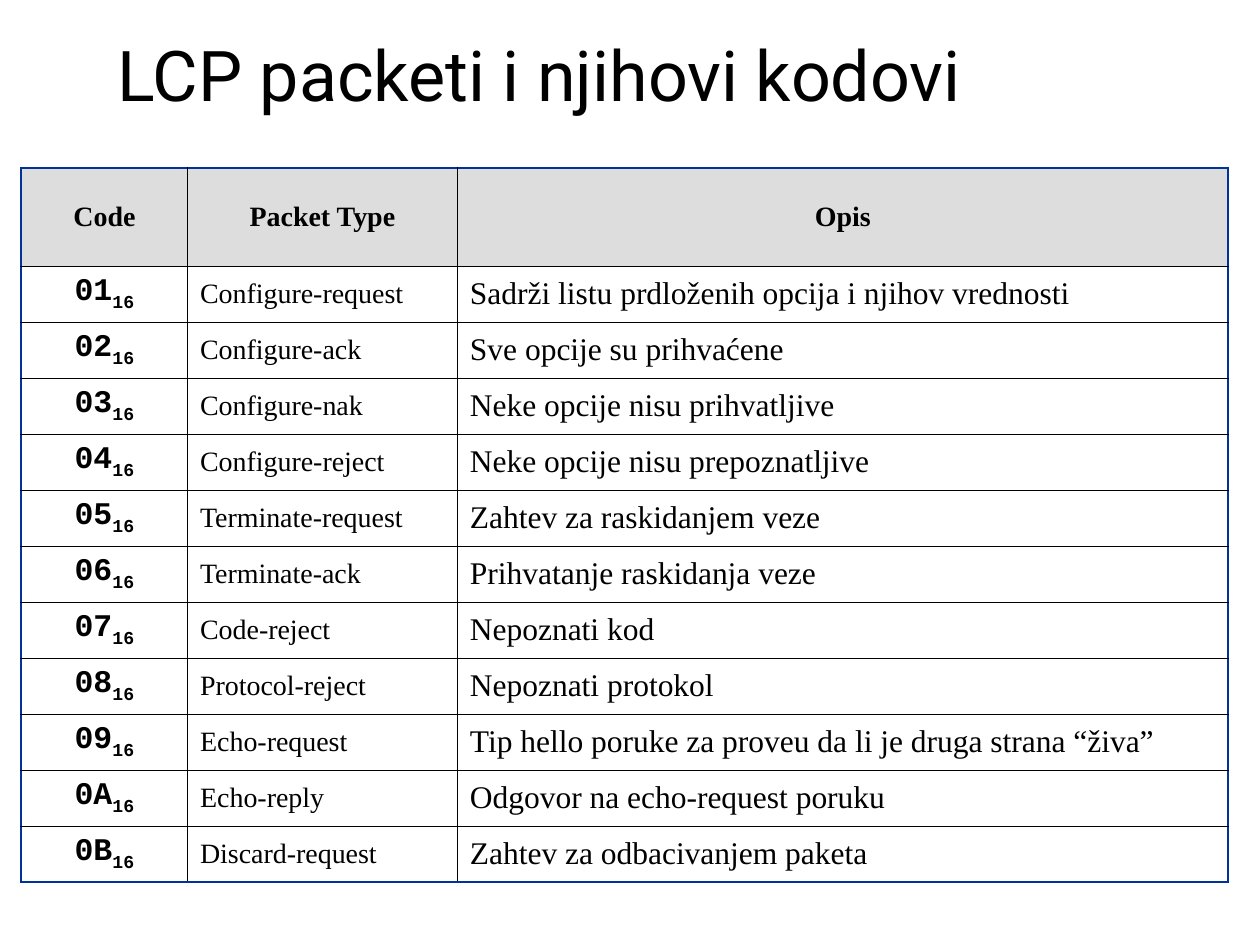
from dataclasses import dataclass

from lxml.etree import SubElement
from pptx import Presentation
from pptx.dml.color import RGBColor
from pptx.enum.text import MSO_ANCHOR as Anchor, PP_ALIGN as Align
from pptx.oxml.ns import qn
from pptx.util import Cm, Pt


@dataclass(frozen=True)
class Theme:
    ink: str = "000000"
    frame: str = "003399"
    header_fill: str = "DDDDDD"
    body_fill: str = "FFFFFF"
    title_font: str = "Roboto"
    text_font: str = "Times New Roman"
    code_font: str = "Courier New"
    title_size: int = 40
    large_size: int = 18
    small_size: int = 16
    frame_width: float = 1.47
    grid_width: float = 0.45


theme = Theme()


def add_run(paragraph, text, font_name, size, bold=False):
    run = paragraph.add_run()
    run.text = text
    run.font.name = font_name
    run.font.size = Pt(size)
    run.font.bold = bold
    run.font.color.rgb = RGBColor.from_string(theme.ink)
    return run


def add_border(cell, side, outer):
    color, width = (theme.frame, theme.frame_width) if outer else (theme.ink, theme.grid_width)
    properties = cell._tc.get_or_add_tcPr()
    line = SubElement(properties, qn(f"a:ln{side}"), w=str(int(Pt(width))))
    fill = SubElement(line, qn("a:solidFill"))
    SubElement(fill, qn("a:srgbClr"), val=color)


headings = ["Code", "Packet Type", "Opis"]
packets = [
    ("01", "Configure-request", "Sadrži listu prdloženih opcija i njihov vrednosti"),
    ("02", "Configure-ack", "Sve opcije su prihvaćene"),
    ("03", "Configure-nak", "Neke opcije nisu prihvatljive"),
    ("04", "Configure-reject", "Neke opcije nisu prepoznatljive"),
    ("05", "Terminate-request", "Zahtev za raskidanjem veze"),
    ("06", "Terminate-ack", "Prihvatanje raskidanja veze"),
    ("07", "Code-reject", "Nepoznati kod"),
    ("08", "Protocol-reject", "Nepoznati protokol"),
    ("09", "Echo-request", "Tip hello poruke za proveu da li je druga strana “živa”"),
    ("0A", "Echo-reply", "Odgovor na echo-request poruku"),
    ("0B", "Discard-request", "Zahtev za odbacivanjem paketa"),
]
rows = [headings, *packets]
column_widths = [3.35, 5.44, 15.54]
row_heights = [1.97] + [1.13] * len(packets)

presentation = Presentation()
presentation.slide_width = Cm(25.4)
presentation.slide_height = Cm(19.05)
slide = presentation.slides.add_slide(presentation.slide_layouts[6])

title = slide.shapes.add_textbox(Cm(2.12), Cm(0.42), Cm(21.59), Cm(2.12))
title.text_frame.word_wrap = True
title.text_frame.vertical_anchor = Anchor.MIDDLE
add_run(title.text_frame.paragraphs[0], "LCP packeti i njihovi kodovi", theme.title_font, theme.title_size)

table_shape = slide.shapes.add_table(
    len(rows), len(headings), Cm(0.43), Cm(3.39), Cm(sum(column_widths)), Cm(sum(row_heights))
)
table = table_shape.table
for column, width in zip(table.columns, column_widths):
    column.width = Cm(width)
for row, height in zip(table.rows, row_heights):
    row.height = Cm(height)

last_row, last_column = len(rows) - 1, len(headings) - 1
for row_index, texts in enumerate(rows):
    is_header = row_index == 0
    for column_index, text in enumerate(texts):
        cell = table.cell(row_index, column_index)
        add_border(cell, "L", column_index == 0)
        add_border(cell, "R", column_index == last_column)
        add_border(cell, "T", is_header)
        add_border(cell, "B", row_index == last_row)
        cell.fill.solid()
        cell.fill.fore_color.rgb = RGBColor.from_string(theme.header_fill if is_header else theme.body_fill)
        cell.vertical_anchor = Anchor.MIDDLE

        paragraph = cell.text_frame.paragraphs[0]
        paragraph.alignment = Align.CENTER if is_header or column_index == 0 else Align.LEFT
        if is_header:
            add_run(paragraph, text, theme.text_font, theme.small_size, bold=True)
        elif column_index == 0:
            add_run(paragraph, text, theme.code_font, theme.large_size, bold=True)
            base = add_run(paragraph, "16", theme.code_font, theme.large_size, bold=True)
            base.font._rPr.set("baseline", "-25000")
        else:
            size = theme.small_size if column_index == 1 else theme.large_size
            add_run(paragraph, text, theme.text_font, size)

presentation.save("out.pptx")
